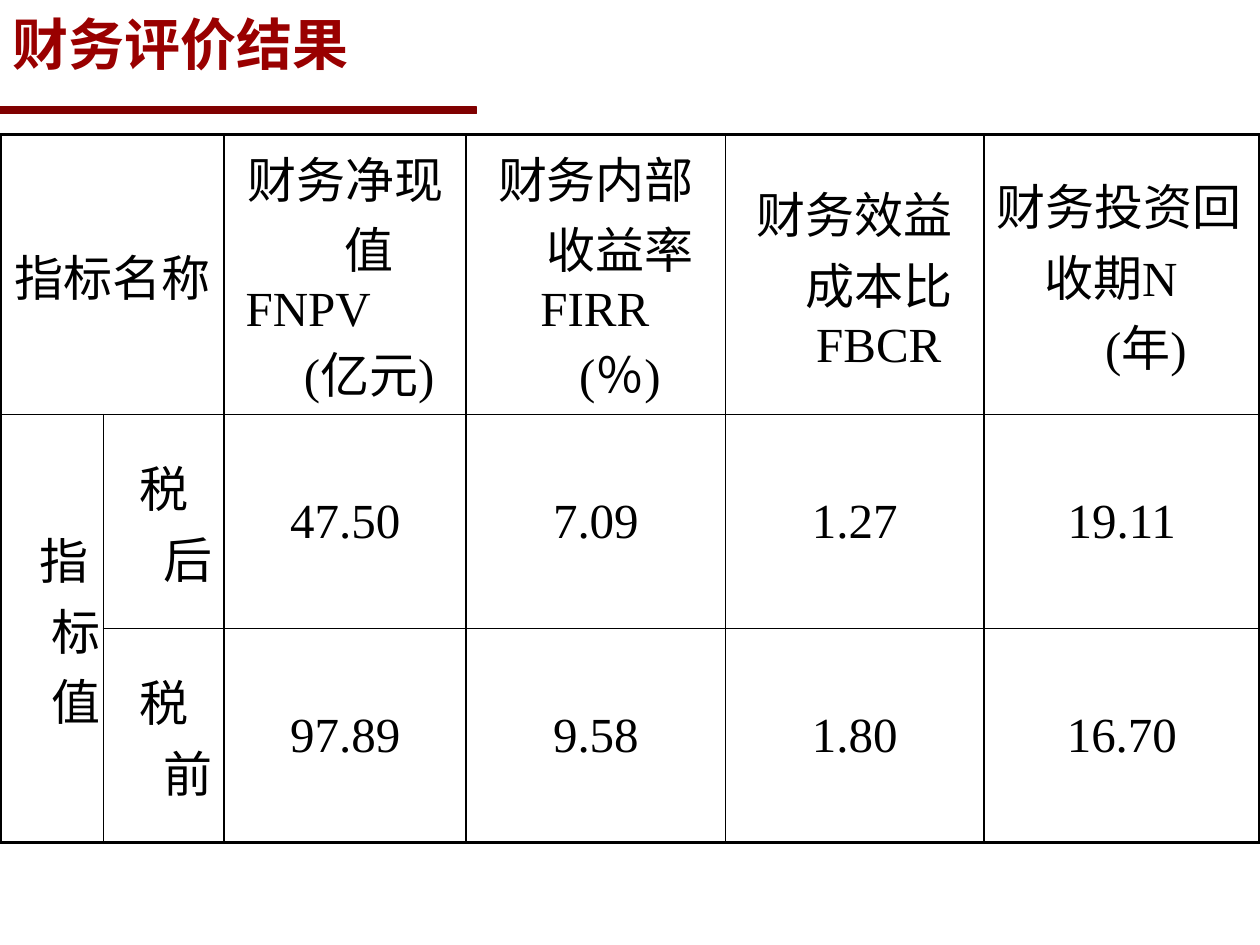
from lxml.etree import SubElement
from pptx import Presentation
from pptx.dml.color import RGBColor
from pptx.enum.shapes import MSO_SHAPE
from pptx.enum.text import MSO_ANCHOR, PP_ALIGN
from pptx.oxml import parse_xml
from pptx.oxml.ns import nsdecls, qn
from pptx.util import Inches, Pt


def tint(code):
    return RGBColor.from_string(code)


def style(para, face, size, code, bold):
    for run in para.runs:
        form = {"name": face, "size": Pt(size), "bold": bold}
        for key, value in form.items():
            setattr(run.font, key, value)
        run.font.color.rgb = tint(code)
        SubElement(run.font._element, qn("a:ea"), typeface=SANS)


SANS = "Noto Sans CJK SC"
SERIF = "Times New Roman"
MID, LEFT = PP_ALIGN.CENTER, PP_ALIGN.LEFT

deck = Presentation()
deck.slide_width, deck.slide_height = Inches(10), Inches(7.5)
slide = deck.slides.add_slide(deck.slide_layouts[6])

rule = slide.shapes.add_shape(
    MSO_SHAPE.RECTANGLE, Inches(-0.01), Inches(0.85), Inches(3.79), Inches(0.05))
rule.shadow.inherit = False
rule.fill.solid()
rule.fill.fore_color.rgb = tint("800000")
rule.line.color.rgb = tint("800000")
rule.line.width = Pt(0.75)

title = slide.shapes.add_textbox(Inches(0), Inches(0.01), Inches(8.94), Inches(0.67))
frame = title.text_frame
frame.word_wrap = True
frame.vertical_anchor = MSO_ANCHOR.MIDDLE
frame.text = "财务评价结果"
style(frame.paragraphs[0], SANS, 32, "990000", True)

hang = (0.38, -0.38, MID)
tail = (0.38, 0, MID)
plain = (0, 0, MID)
cells = {
    (0, 0): [("指标名称", hang)],
    (0, 2): [("财务净现值", hang), ("FNPV", (0.07, 0, LEFT)), ("(亿元)", tail)],
    (0, 3): [("财务内部收益率", hang), ("FIRR", (0.49, 0, LEFT)), ("(％)", tail)],
    (0, 4): [("财务效益成本比FBCR", hang)],
    (0, 5): [("财务投资回收期N", (0.38, -0.38, LEFT)), ("(年)", tail)],
    (1, 0): [("指标值", (0.38, -0.19, MID))],
}
data = [
    ("税后", "47.50", "7.09", "1.27", "19.11"),
    ("税前", "97.89", "9.58", "1.80", "16.70"),
]
for row, line in enumerate(data, 1):
    for col, text in enumerate(line, 1):
        cells[row, col] = [(text, hang if col < 4 else plain)]

wide = [0.82, 0.96, 1.92, 2.06, 2.05, 2.19]
high = [2.22, 1.7, 1.7]
grid = slide.shapes.add_table(
    3, 6, Inches(0), Inches(1.07), Inches(sum(wide)), Inches(sum(high))).table
grid.first_row = grid.horz_banding = False
for col, size in zip(grid.columns, wide):
    col.width = Inches(size)
for row, size in zip(grid.rows, high):
    row.height = Inches(size)
grid.cell(0, 0).merge(grid.cell(0, 1))
grid.cell(1, 0).merge(grid.cell(2, 0))

for row in range(3):
    for col in range(6):
        cell = grid.cell(row, col)
        cell.fill.background()
        cell.vertical_anchor = MSO_ANCHOR.MIDDLE
        edges = {
            "L": col == 0,
            "R": col == 5,
            "T": row == 0,
            "B": row + cell.span_height == 3 or row == 2,
        }
        props = cell._tc.get_or_add_tcPr()
        for spot, (side, outer) in enumerate(edges.items()):
            props.insert(spot, parse_xml(
                f'<a:ln{side} {nsdecls("a")} w="{Pt(2 if outer else 1)}">'
                '<a:solidFill><a:srgbClr val="000000"/></a:solidFill>'
                f'</a:ln{side}>'))
        for spot, (text, (left, first, align)) in enumerate(cells.get((row, col), [])):
            frame = cell.text_frame
            para = frame.add_paragraph() if spot else frame.paragraphs[0]
            para.text = text
            para.alignment = align
            form = para._p.get_or_add_pPr()
            form.set("marL", str(Inches(left)))
            form.set("indent", str(Inches(first)))
            style(para, SERIF, 28, "000000", False)

deck.save("out.pptx")
